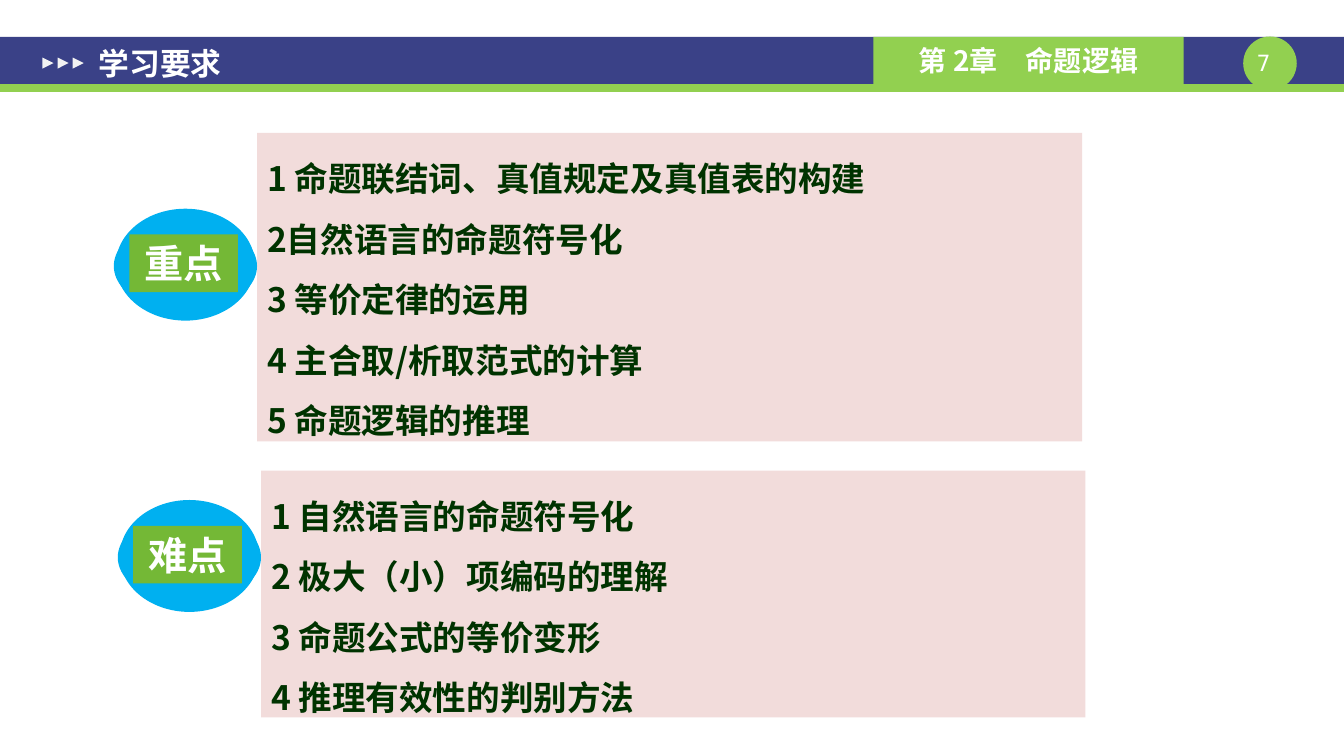
"""Build the study requirements slide of the propositional logic chapter."""
import pptx
import pptx.dml.color
import pptx.enum.shapes
import pptx.enum.text
import pptx.oxml.ns
import pptx.util
from lxml import etree

Cm = pptx.util.Cm
RGBColor = pptx.dml.color.RGBColor
SHAPE = pptx.enum.shapes.MSO_SHAPE
ALIGN = pptx.enum.text.PP_ALIGN
ANCHOR = pptx.enum.text.MSO_ANCHOR
qn = pptx.oxml.ns.qn

NAVY = RGBColor(0x3A, 0x41, 0x87)
LIME = RGBColor(0x92, 0xD0, 0x50)
LEAF = RGBColor(0x74, 0xB8, 0x36)
SKY = RGBColor(0x00, 0xB0, 0xF0)
ROSE = RGBColor(0xF2, 0xDC, 0xDB)
FOREST = RGBColor(0x00, 0x33, 0x00)
PALE = RGBColor(0xF2, 0xF2, 0xF2)
WHITE = RGBColor(0xFF, 0xFF, 0xFF)

HEADING_FONT = "Noto Sans CJK SC"
NUMBER_FONT = "DejaVu Sans Mono"
PAGE_WIDTH, PAGE_HEIGHT = 33.88, 19.05

MEDALLION_OVALS = [
    (0, 0.3, 3.61, 2.29),
    (0.05, 0, 3.51, 2.82),
    (0.08, 0.03, 3.4, 2.74),
    (0.13, 0.05, 3.25, 2.57),
    (0.3, 0.1, 2.9, 2.08),
]
KEY_POINTS = [
    "1 命题联结词、真值规定及真值表的构建",
    "2自然语言的命题符号化",
    "3 等价定律的运用",
    "4 主合取/析取范式的计算",
    "5 命题逻辑的推理",
]
HARD_POINTS = [
    "1 自然语言的命题符号化",
    "2 极大（小）项编码的理解",
    "3 命题公式的等价变形",
    "4 推理有效性的判别方法",
]


class SlideBuilder:
    """Hold the current slide and its text style."""

    def __init__(self, page):
        self.page = page

    def place(self, box, left, top, width, height):
        box.left, box.top = Cm(left), Cm(top)
        box.width, box.height = Cm(width), Cm(height)

    def shape(self, kind, area, fill):
        box = self.page.shapes.add_shape(kind, *map(Cm, area))
        box.shadow.inherit = False
        box.fill.solid()
        box.fill.fore_color.rgb = fill
        box.line.fill.background()
        return box

    def set_text(self, box, lines, size, color=WHITE, align=ALIGN.CENTER,
                 anchor=ANCHOR.MIDDLE, font=HEADING_FONT, bold=True, spacing=1.0):
        frame = box.text_frame
        frame.auto_size = pptx.enum.text.MSO_AUTO_SIZE.NONE
        frame.word_wrap = True
        frame.vertical_anchor = anchor
        frame.text = "\n".join(lines)
        for para in frame.paragraphs:
            properties = para._p.get_or_add_pPr()
            properties.set("marL", "0")
            properties.set("indent", "0")
            etree.SubElement(properties, qn("a:buNone"))
            para.alignment = align
            para.line_spacing = spacing
            para.space_before = pptx.util.Pt(0)
            para.font.size = pptx.util.Pt(size)
            para.font.bold = bold
            para.font.color.rgb = color
            para.font.name = font
            east_asian = etree.SubElement(properties.find(qn("a:defRPr")), qn("a:ea"))
            east_asian.set("typeface", font)

    def title(self, text, area):
        box = self.page.shapes.title
        self.place(box, *area)
        self.set_text(box, [text], 22, align=ALIGN.LEFT)
        frame = box.text_frame
        frame.margin_left = frame.margin_right = Cm(0.33)
        frame.margin_top = frame.margin_bottom = Cm(0.18)
        box._element.getparent().append(box._element)

    def points(self, index, lines, area):
        box = self.page.placeholders[index]
        self.place(box, *area)
        box.fill.solid()
        box.fill.fore_color.rgb = ROSE
        self.set_text(box, lines, 24, FOREST, ALIGN.LEFT, ANCHOR.TOP, spacing=1.5)

    def medallion(self, label, left, top):
        for across, down, width, height in MEDALLION_OVALS:
            self.shape(SHAPE.OVAL, (left + across, top + down, width, height), SKY)
        tag = self.shape(SHAPE.RECTANGLE, (left + 0.39, top + 0.65, 2.74, 1.45), LEAF)
        self.set_text(tag, [label], 28)

    def page_number(self, number, area):
        box = self.page.shapes.add_textbox(*map(Cm, area))
        frame = box.text_frame
        frame.margin_left = frame.margin_right = 0
        frame.margin_top = frame.margin_bottom = 0
        self.set_text(box, [number], 16, font=NUMBER_FONT, bold=False)

    def header(self):
        self.shape(SHAPE.RECTANGLE, (0, 0.93, PAGE_WIDTH, 1.2), NAVY)
        self.shape(SHAPE.RECTANGLE, (0, 2.12, PAGE_WIDTH, 0.2), LIME)
        self.shape(SHAPE.OVAL, (31.34, 0.92, 1.35, 1.35), LIME)
        self.page_number("7", (31.18, 1.22, 1.35, 0.69))
        chapter = self.shape(SHAPE.RECTANGLE, (22.02, 0.93, 7.82, 1.2), LIME)
        self.set_text(chapter, ["第 2章　命题逻辑"], 20)
        for step in range(3):
            arrow = self.shape(SHAPE.ISOSCELES_TRIANGLE,
                               (1.07 + 0.38 * step, 1.45, 0.28, 0.28), PALE)
            arrow.rotation = 90
        self.title("学习要求", (2.16, 1.02, 14.73, 1.12))


def main():
    deck = pptx.Presentation()
    deck.slide_width, deck.slide_height = Cm(PAGE_WIDTH), Cm(PAGE_HEIGHT)
    builder = SlideBuilder(deck.slides.add_slide(deck.slide_layouts[3]))
    builder.header()
    builder.points(1, KEY_POINTS, (6.48, 3.35, 20.8, 7.77))
    builder.medallion("重点", 2.87, 5.26)
    builder.points(2, HARD_POINTS, (6.58, 11.86, 20.78, 6.22))
    builder.medallion("难点", 2.97, 12.6)
    deck.save("out.pptx")


if __name__ == "__main__":
    main()
